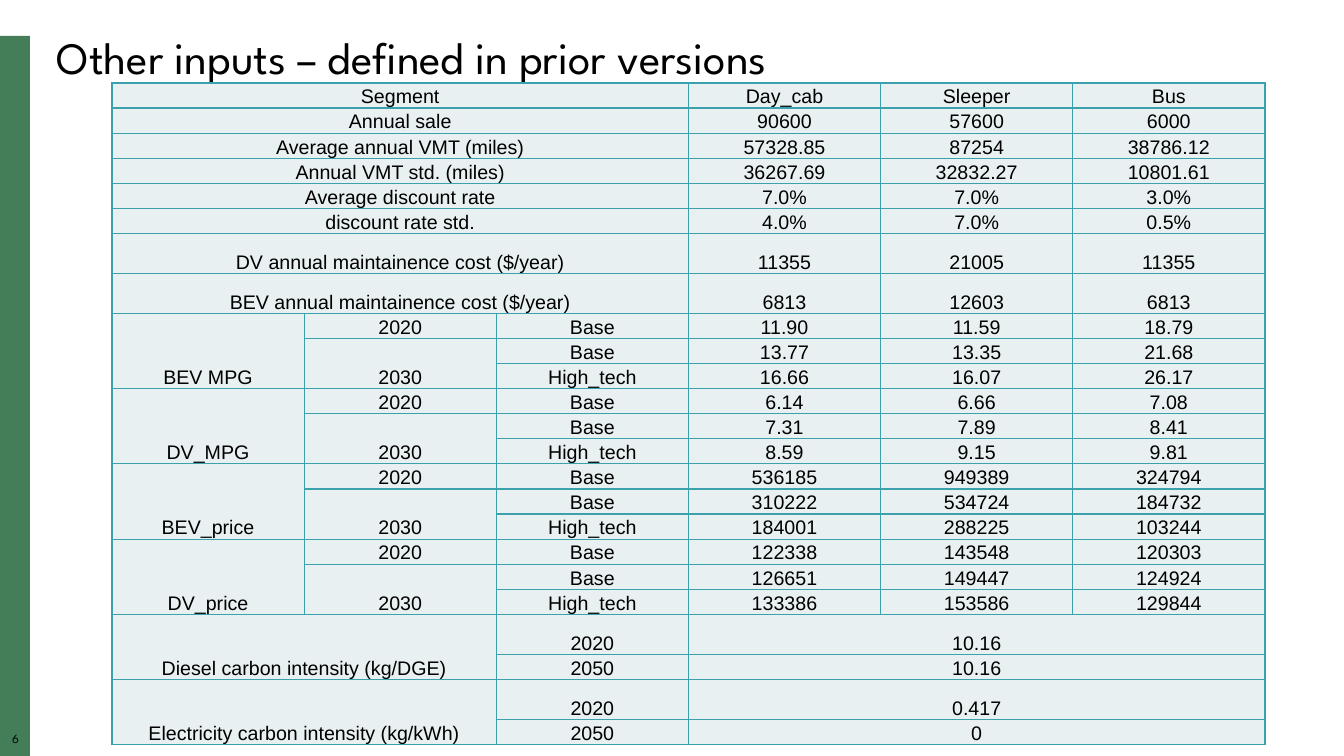
from lxml.etree import SubElement
from pptx import Presentation
from pptx.dml.color import RGBColor
from pptx.enum.shapes import MSO_SHAPE as Shape
from pptx.enum.text import MSO_ANCHOR as Anchor, PP_ALIGN as Align
from pptx.oxml.ns import qn
from pptx.util import Pt

PX = 914400 / 100.8
GREEN = RGBColor(0x44, 0x7E, 0x59)
TEAL = RGBColor(0x3B, 0xA2, 0xAD)
PALE = RGBColor(0xE8, 0xF0, 0xF1)
BLACK = RGBColor(0, 0, 0)


def px(length):
    return round(length * PX)


def add_text(text, left, top, width, height, size, align, inset):
    box = slide.shapes.add_textbox(px(left), px(top), px(width), px(height))
    frame = box.text_frame
    frame.word_wrap = True
    frame.vertical_anchor = Anchor.MIDDLE
    frame.margin_left = frame.margin_right = px(inset)
    frame.margin_top = frame.margin_bottom = 0
    paragraph = frame.paragraphs[0]
    paragraph.text = text
    paragraph.alignment = align
    paragraph.line_spacing = 0.9
    paragraph.font.size = Pt(size)
    paragraph.font.name = "League Spartan"
    paragraph.font.color.rgb = BLACK


presentation = Presentation()
presentation.slide_width = px(1344)
presentation.slide_height = px(756)
slide = presentation.slides.add_slide(presentation.slide_layouts[6])

side_bar = slide.shapes.add_shape(Shape.RECTANGLE, 0, px(36), px(30), px(720))
side_bar.shadow.inherit = False
side_bar.fill.solid()
side_bar.fill.fore_color.rgb = GREEN
side_bar.line.fill.background()
add_text("6", 0, 731, 31, 17, 9, Align.CENTER, 0)
add_text("Other inputs – defined in prior versions", 47, 30, 1260, 60, 32, Align.LEFT, 10)

# Rows whose label spans the first three columns
general_rows = [
    ("Segment", "Day_cab", "Sleeper", "Bus"),
    ("Annual sale", "90600", "57600", "6000"),
    ("Average annual VMT (miles)", "57328.85", "87254", "38786.12"),
    ("Annual VMT std. (miles)", "36267.69", "32832.27", "10801.61"),
    ("Average discount rate", "7.0%", "7.0%", "3.0%"),
    ("discount rate std.", "4.0%", "7.0%", "0.5%"),
    ("DV annual maintainence cost ($/year)", "11355", "21005", "11355"),
    ("BEV annual maintainence cost ($/year)", "6813", "12603", "6813"),
]
# Values for 2020 Base, 2030 Base and 2030 High_tech
scenario_groups = {
    "BEV MPG": [("11.90", "11.59", "18.79"), ("13.77", "13.35", "21.68"),
                ("16.66", "16.07", "26.17")],
    "DV_MPG": [("6.14", "6.66", "7.08"), ("7.31", "7.89", "8.41"),
               ("8.59", "9.15", "9.81")],
    "BEV_price": [("536185", "949389", "324794"), ("310222", "534724", "184732"),
                  ("184001", "288225", "103244")],
    "DV_price": [("122338", "143548", "120303"), ("126651", "149447", "124924"),
                 ("133386", "153586", "129844")],
}
# Values for 2020 and 2050, shared by all segments
carbon_groups = {
    "Diesel carbon intensity (kg/DGE)": ("10.16", "10.16"),
    "Electricity carbon intensity (kg/kWh)": ("0.417", "0"),
}

rows = []
merges = []  # first row, first column, last row, last column
for label, *values in general_rows:
    merges.append((len(rows), 0, len(rows), 2))
    rows.append((label, "", "", *values))
for label, (base_2020, base_2030, high_2030) in scenario_groups.items():
    first = len(rows)
    merges += [(first, 0, first + 2, 0), (first + 1, 1, first + 2, 1)]
    rows += [(label, "2020", "Base", *base_2020),
             ("", "2030", "Base", *base_2030),
             ("", "", "High_tech", *high_2030)]
for label, (value_2020, value_2050) in carbon_groups.items():
    first = len(rows)
    merges += [(first, 0, first + 1, 1), (first, 3, first, 5), (first + 1, 3, first + 1, 5)]
    rows += [(label, "", "2020", value_2020, "", ""),
             ("", "", "2050", value_2050, "", "")]

TABLE_WIDTH, TABLE_HEIGHT = 1153, 662
TALL_ROWS = {6, 7, 20, 22}
TALL_HEIGHT = 40
normal_height = (TABLE_HEIGHT - TALL_HEIGHT * len(TALL_ROWS)) / (len(rows) - len(TALL_ROWS))

table = slide.shapes.add_table(len(rows), 6, px(112), px(83),
                               px(TABLE_WIDTH), px(TABLE_HEIGHT)).table
table.first_row = False
table.horz_banding = False
for column in table.columns:
    column.width = px(TABLE_WIDTH / 6)

for row_index, values in enumerate(rows):
    table.rows[row_index].height = px(TALL_HEIGHT if row_index in TALL_ROWS else normal_height)
    for column_index, value in enumerate(values):
        cell = table.cell(row_index, column_index)
        cell.margin_left = cell.margin_right = cell.margin_top = px(1)
        cell.margin_bottom = 0
        cell.vertical_anchor = Anchor.BOTTOM
        paragraph = cell.text_frame.paragraphs[0]
        paragraph.text = value
        paragraph.alignment = Align.CENTER
        paragraph.font.size = Pt(14)
        paragraph.font.name = "Arial"
        paragraph.font.color.rgb = BLACK
        properties = cell._tc.get_or_add_tcPr()
        for side in ("a:lnL", "a:lnR", "a:lnT", "a:lnB"):
            border = SubElement(properties, qn(side), w=str(Pt(1)))
            border_fill = SubElement(border, qn("a:solidFill"))
            SubElement(border_fill, qn("a:srgbClr"), val=str(TEAL))
        cell.fill.solid()
        cell.fill.fore_color.rgb = PALE

for top, left, bottom, right in merges:
    table.cell(top, left).merge(table.cell(bottom, right))

presentation.save("out.pptx")
